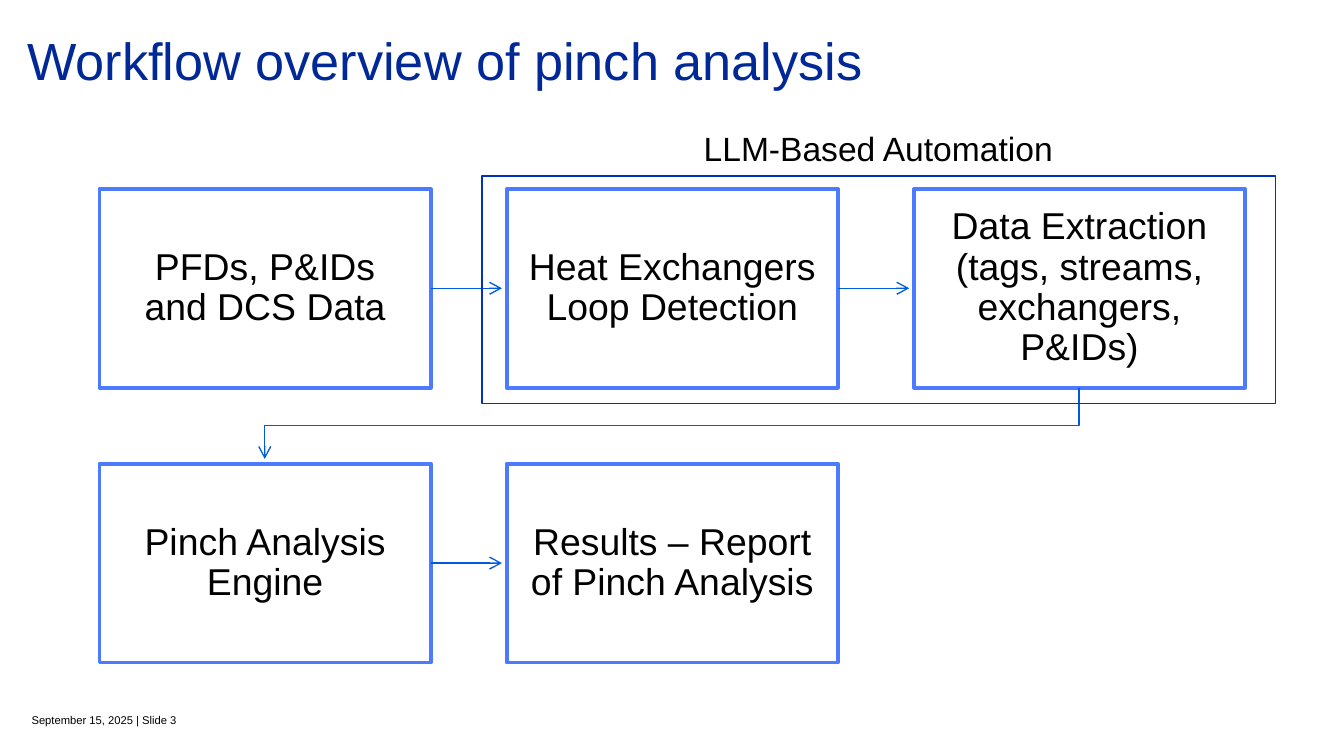
"""Build the pinch analysis workflow slide."""
import lxml.etree
import pptx
import pptx.dml.color
import pptx.enum.shapes
import pptx.enum.text
import pptx.oxml.ns
import pptx.util

SCALE = 4572
FONT = "Arial"
HEX = {"title": "002897", "text": "000000", "box": "4C7BFF",
       "arrow": "005ADE", "frame": "0032BB"}
ALIGN = pptx.enum.text.PP_ALIGN
ANCHOR = pptx.enum.text.MSO_ANCHOR
LEFT, TOP = 148, 281
WIDE, HIGH = 493, 296
STEP, DROP = 606, 409
GAP = 7
ROWS = [
    ["PFDs, P&IDs and DCS Data", "Heat Exchangers Loop Detection",
     "Data Extraction (tags, streams, exchangers, P&IDs)"],
    ["Pinch Analysis Engine", "Results – Report of Pinch Analysis"],
]


def px(*nums):
    return [pptx.util.Emu(num * SCALE) for num in nums]


def tint(name):
    return pptx.dml.color.RGBColor.from_string(HEX[name])


def write(shape, text, size, color="text", align=ALIGN.LEFT,
          anchor=ANCHOR.MIDDLE, inset=(20, 10, 20, 10), space=1.0):
    frame = shape.text_frame
    frame.text = text
    frame.word_wrap = True
    frame.auto_size = pptx.enum.text.MSO_AUTO_SIZE.NONE
    frame.vertical_anchor = anchor
    (frame.margin_left, frame.margin_top,
     frame.margin_right, frame.margin_bottom) = px(*inset)
    para = frame.paragraphs[0]
    para.alignment = align
    para.line_spacing = space
    para.font.name = FONT
    para.font.size = pptx.util.Pt(size)
    para.font.color.rgb = tint(color)


def label(slide, area, text, size, **style):
    write(slide.shapes.add_textbox(*px(*area)), text, size, **style)


def stroke(shape, color, width):
    shape.line.color.rgb = tint(color)
    shape.line.width = pptx.util.Pt(width)


def rect(slide, area, color, width):
    kind = pptx.enum.shapes.MSO_SHAPE.RECTANGLE
    shape = slide.shapes.add_shape(kind, *px(*area))
    shape.shadow.inherit = False
    shape.fill.background()
    stroke(shape, color, width)
    return shape


def tip(shape):
    stroke(shape, "arrow", 0.75)
    tag = pptx.oxml.ns.qn("a:tailEnd")
    line = shape.line._get_or_add_ln()
    lxml.etree.SubElement(line, tag, type="arrow")


def arrow(slide, start, end):
    kind = pptx.enum.shapes.MSO_CONNECTOR.STRAIGHT
    shape = slide.shapes.add_connector(kind, *px(*start, *end))
    tip(shape)
    tag = pptx.oxml.ns.qn("a:effectLst")
    lxml.etree.SubElement(shape._element.spPr, tag)


def elbow(slide, points):
    build = slide.shapes.build_freeform(*points[0], scale=SCALE)
    build.add_line_segments(points[1:], close=False)
    shape = build.convert_to_shape()
    shape.shadow.inherit = False
    shape.fill.background()
    tip(shape)


def flow(slide):
    for row, names in enumerate(ROWS):
        y = TOP + row * DROP
        for col, name in enumerate(names):
            x = LEFT + col * STEP
            box = rect(slide, (x, y, WIDE, HIGH), "box", 2)
            write(box, name, 20, align=ALIGN.CENTER,
                  inset=(32, 32, 32, 32), space=0.9)
            if col < len(names) - 1:
                mid = y + HIGH // 2
                arrow(slide, (x + WIDE, mid), (x + STEP - GAP, mid))
    first = LEFT + WIDE // 2
    last = first + 2 * STEP
    base, turn = TOP + HIGH, 633
    elbow(slide, [(last, base), (last, turn), (first, turn),
                  (first, TOP + DROP - GAP)])


def main():
    deck = pptx.Presentation()
    deck.slide_width, deck.slide_height = px(2000, 1125)
    slide = deck.slides.add_slide(deck.slide_layouts[5])
    title = slide.shapes.title
    title.left, title.top, title.width, title.height = px(0, 0, 2000, 122)
    write(title, "Workflow overview of pinch analysis", 28, "title",
          inset=(41, 68, 48, 0), space=0.9)
    label(slide, (47, 1018, 520, 107), "September 15, 2025 | Slide 3", 6,
          anchor=ANCHOR.BOTTOM, inset=(0, 0, 0, 44))
    flow(slide)
    rect(slide, (717, 262, 1181, 339), "frame", 0.75)
    label(slide, (983, 181, 648, 80), "LLM-Based Automation", 18,
          align=ALIGN.CENTER, anchor=ANCHOR.TOP)
    deck.save("out.pptx")


if __name__ == "__main__":
    main()
